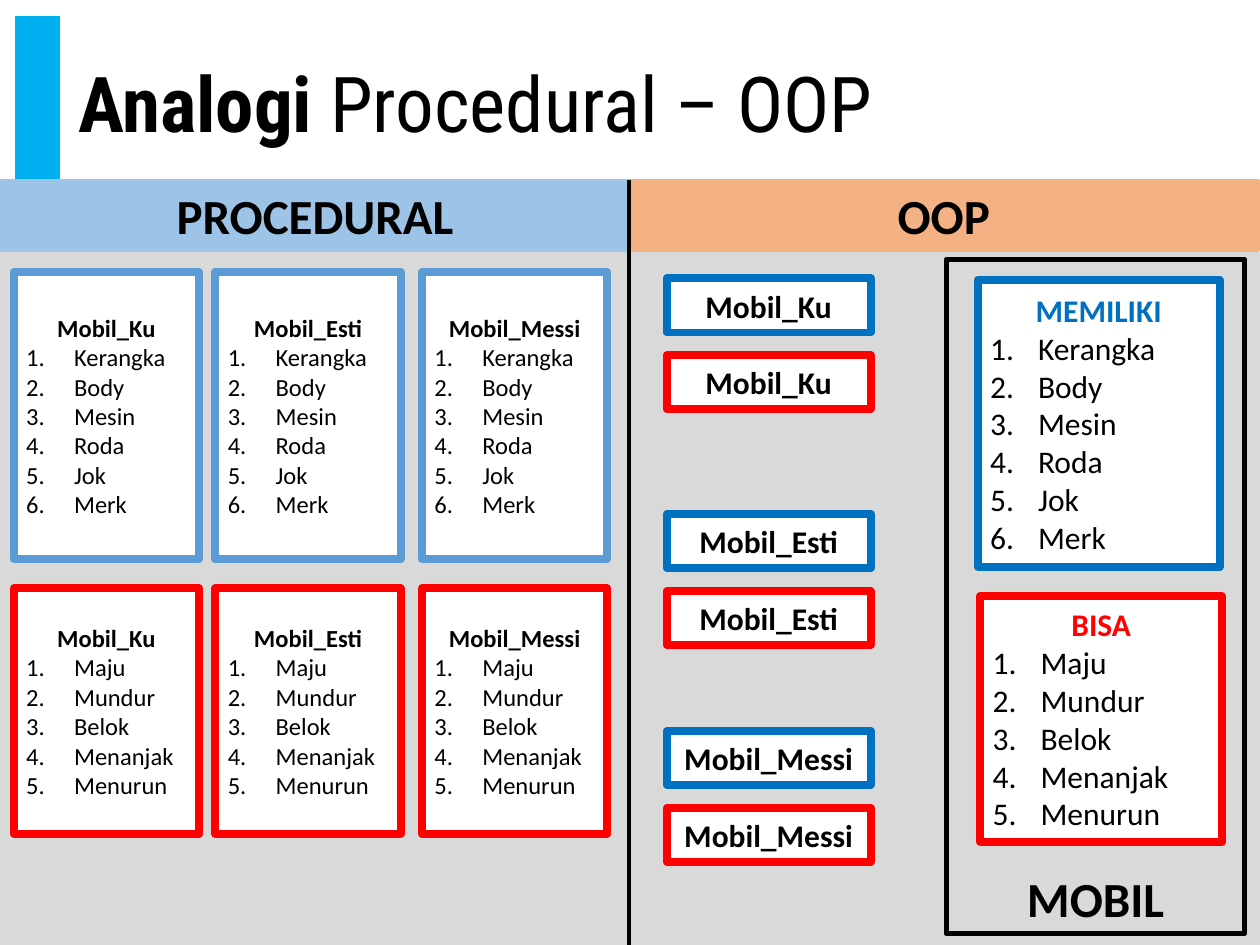
import pptx
import pptx.dml.color
import pptx.enum.shapes
import pptx.enum.text
import pptx.oxml.ns
import pptx.util
from lxml import etree

RGBColor = pptx.dml.color.RGBColor
Inches = pptx.util.Inches
Pt = pptx.util.Pt
Align = pptx.enum.text.PP_ALIGN
Anchor = pptx.enum.text.MSO_ANCHOR

BLACK = RGBColor(0x00, 0x00, 0x00)
WHITE = RGBColor(0xFF, 0xFF, 0xFF)
GREY = RGBColor(0xD9, 0xD9, 0xD9)
CYAN = RGBColor(0x00, 0xB0, 0xF0)
LIGHT_BLUE = RGBColor(0x9D, 0xC3, 0xE6)
MID_BLUE = RGBColor(0x5B, 0x9B, 0xD5)
BLUE = RGBColor(0x00, 0x70, 0xC0)
ORANGE = RGBColor(0xF4, 0xB1, 0x83)
RED = RGBColor(0xFF, 0x00, 0x00)

CARS = ["Mobil_Ku", "Mobil_Esti", "Mobil_Messi"]
PARTS = ["Kerangka", "Body", "Mesin", "Roda", "Jok", "Merk"]
ACTIONS = ["Maju", "Mundur", "Belok", "Menanjak", "Menurun"]


class SlideBuilder:
    body_font = "Calibri"
    title_font = "Roboto Condensed"
    border = 4.5

    def __init__(self, slide):
        self.s = slide

    def title(self, x, y, w, h, bold_text, text):
        sp = self.s.shapes.title
        sp.left, sp.top, sp.width, sp.height = map(Inches, (x, y, w, h))
        tf = sp.text_frame
        tf.word_wrap = True
        tf.auto_size = pptx.enum.text.MSO_AUTO_SIZE.NONE
        tf.vertical_anchor = Anchor.MIDDLE
        p = tf.paragraphs[0]
        p.alignment = Align.LEFT
        p.line_spacing = 0.9
        p.font.name = self.title_font
        p.font.size = Pt(44)
        p.font.color.rgb = BLACK
        for part, bold in ((bold_text, True), (text, False)):
            r = p.add_run()
            r.text = part
            r.font.bold = bold

    def box(self, x, y, w, h, fill=None, line=None, width=1.0):
        sp = self.s.shapes.add_shape(
            pptx.enum.shapes.MSO_SHAPE.RECTANGLE, *map(Inches, (x, y, w, h)))
        sp.shadow.inherit = False
        if fill is None:
            sp.fill.background()
        else:
            sp.fill.solid()
            sp.fill.fore_color.rgb = fill
        if line is None:
            sp.line.fill.background()
        else:
            sp.line.color.rgb = line
            sp.line.width = Pt(width)
        return sp

    def set_text(self, p, text, size, color=BLACK, bold=True, align=Align.CENTER):
        p.text = text
        p.alignment = align
        p.font.name = self.body_font
        p.font.size = Pt(size)
        p.font.bold = bold
        p.font.color.rgb = color

    def label(self, sp, text, size, anchor=Anchor.MIDDLE):
        tf = sp.text_frame
        tf.vertical_anchor = anchor
        self.set_text(tf.paragraphs[0], text, size)

    def list_box(self, x, y, w, h, line, heading, items, size, color=BLACK):
        tf = self.box(x, y, w, h, WHITE, line, self.border).text_frame
        tf.vertical_anchor = Anchor.MIDDLE
        self.set_text(tf.paragraphs[0], heading, size, color)
        for item in items:
            p = tf.add_paragraph()
            self.set_text(p, item, size, bold=False, align=Align.LEFT)
            self.number(p)

    def number(self, p):
        pPr = p._p.get_or_add_pPr()
        indent = Inches(0.38)
        pPr.set("marL", str(indent))
        pPr.set("indent", str(-indent))
        bullet = etree.Element(pptx.oxml.ns.qn("a:buAutoNum"), type="arabicPeriod")
        pPr.insert_element_before(bullet, "a:tabLst", "a:defRPr", "a:extLst")

    def line(self, x1, y1, x2, y2, color, width):
        c = self.s.shapes.add_connector(
            pptx.enum.shapes.MSO_CONNECTOR.STRAIGHT, *map(Inches, (x1, y1, x2, y2)))
        c.line.color.rgb = color
        c.line.width = Pt(width)
        etree.SubElement(c._element.spPr, pptx.oxml.ns.qn("a:effectLst"))


def main():
    prs = pptx.Presentation()
    prs.slide_width, prs.slide_height = Inches(10), Inches(7.5)
    b = SlideBuilder(prs.slides.add_slide(prs.slide_layouts[5]))

    b.box(0.13, 0.13, 0.34, 1.45, CYAN, CYAN)
    b.title(0.52, 0.13, 9.1, 1.45, "Analogi", " Procedural – OOP")

    for x, heading, color in ((0, "PROCEDURAL", LIGHT_BLUE), (4.99, "OOP", ORANGE)):
        b.label(b.box(x, 1.43, 5, 0.56, color, color, 1.5), heading, 28)
        b.box(x, 2, 5.01, 5.5, GREY)

    for x, car in zip((0.11, 1.71, 3.35), CARS):
        b.list_box(x, 2.16, 1.47, 2.28, MID_BLUE, car, PARTS, 14)
        b.list_box(x, 4.67, 1.47, 1.95, RED, car, ACTIONS, 14)

    b.list_box(7.76, 2.22, 1.92, 2.28, BLUE, "MEMILIKI", PARTS, 18, BLUE)
    b.list_box(7.78, 4.73, 1.92, 1.95, RED, "BISA", ACTIONS, 18, RED)

    b.line(4.99, 1.43, 4.99, 7.5, BLACK, 2.25)
    b.label(b.box(7.51, 2.06, 2.37, 5.35, line=BLACK, width=3), "MOBIL", 28, Anchor.BOTTOM)

    for y, car in zip((2.21, 4.08, 5.8), CARS):
        for top, color in ((y, BLUE), (y + 0.61, RED)):
            b.label(b.box(5.29, top, 1.62, 0.43, WHITE, color, b.border), car, 18)

    prs.save("out.pptx")


if __name__ == "__main__":
    main()
